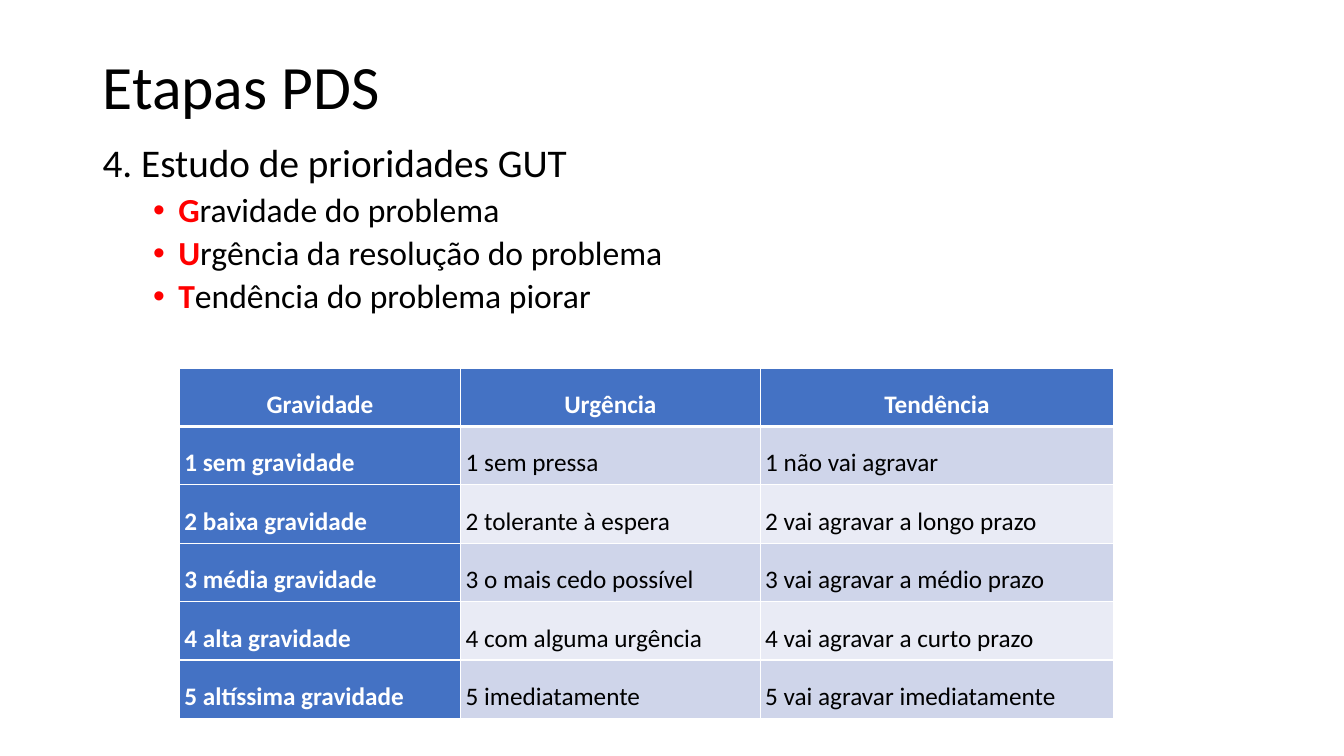
"""Builds the slide on the GUT priority study."""
from lxml import etree
from pptx import Presentation
from pptx import util as u
from pptx.dml.color import RGBColor
from pptx.enum import text
from pptx.oxml import ns

SLIDE_WIDTH, SLIDE_HEIGHT = u.Inches(13.33), u.Inches(7.5)
FONT = "Calibri"
BLACK = RGBColor(0x00, 0x00, 0x00)
WHITE = RGBColor(0xFF, 0xFF, 0xFF)
RED = RGBColor(0xFF, 0x00, 0x00)
BLUE = RGBColor(0x44, 0x72, 0xC4)
BANDS = (RGBColor(0xCF, 0xD5, 0xEA), RGBColor(0xE9, 0xEB, 0xF5))

CRITERIA = ("Gravidade do problema",
            "Urgência da resolução do problema",
            "Tendência do problema piorar")
SCALE = (
    ("Gravidade", "Urgência", "Tendência"),
    ("1 sem gravidade", "1 sem pressa", "1 não vai agravar"),
    ("2 baixa gravidade", "2 tolerante à espera", "2 vai agravar a longo prazo"),
    ("3 média gravidade", "3 o mais cedo possível", "3 vai agravar a médio prazo"),
    ("4 alta gravidade", "4 com alguma urgência", "4 vai agravar a curto prazo"),
    ("5 altíssima gravidade", "5 imediatamente", "5 vai agravar imediatamente"),
)
SCALE_WIDTHS = (20.93, 22.28, 26.33)
SCALE_ROW = 7.73


def across(percent):
    """Return a share of the slide width, in percent."""
    return u.Emu(round(SLIDE_WIDTH * percent / 100))


def down(percent):
    """Return a share of the slide height, in percent."""
    return u.Emu(round(SLIDE_HEIGHT * percent / 100))


def style(run, size, color, bold=False):
    """Format one run of text."""
    run.font.name = FONT
    run.font.size = u.Pt(size)
    run.font.color.rgb = color
    run.font.bold = bold


def add_title(slide, wording):
    """Fill and place the title placeholder."""
    title = slide.shapes.title
    title.left, title.top = across(6.9), down(5.33)
    title.width, title.height = across(86.25), down(13.07)
    frame = title.text_frame
    frame.text = wording
    frame.vertical_anchor = text.MSO_ANCHOR.MIDDLE
    heading = frame.paragraphs[0]
    heading.alignment = text.PP_ALIGN.LEFT
    heading.line_spacing = 0.9
    style(heading.runs[0], 44, BLACK)


def add_bullet(paragraph):
    """Give a paragraph a hanging bullet that takes the text colour."""
    properties = paragraph._p.get_or_add_pPr()
    properties.set("marL", str(u.Inches(0.75)))
    properties.set("indent", str(-u.Inches(0.25)))
    font = etree.SubElement(properties, ns.qn("a:buFont"))
    font.set("typeface", "Arial")
    bullet = etree.SubElement(properties, ns.qn("a:buChar"))
    bullet.set("char", "•")


def add_study(slide, step, criteria):
    """Add the step and its criteria, each with a red initial."""
    study = slide.shapes.add_textbox(across(6.9), down(18.4), across(49.05), down(71.73))
    frame = study.text_frame
    frame.word_wrap = True
    frame.text = step
    heading = frame.paragraphs[0]
    heading.line_spacing = 0.9
    heading.space_before = u.Pt(10)
    style(heading.runs[0], 28, BLACK)
    for criterion in criteria:
        item = frame.add_paragraph()
        item.level = 1
        item.line_spacing = 0.9
        item.space_before = u.Pt(5)
        add_bullet(item)
        for part, color, bold in ((criterion[0], RED, True), (criterion[1:], BLACK, False)):
            run = item.add_run()
            run.text = part
            style(run, 24, color, bold)


def add_borders(cell, top, bottom):
    """Draw white borders round a cell, 1 point at the sides."""
    properties = cell._tc.get_or_add_tcPr()
    for side, points in (("L", 1), ("R", 1), ("T", top), ("B", bottom)):
        line = etree.SubElement(properties, ns.qn(f"a:ln{side}"))
        line.set("w", str(u.Pt(points)))
        fill = etree.SubElement(line, ns.qn("a:solidFill"))
        etree.SubElement(fill, ns.qn("a:srgbClr")).set("val", str(WHITE))


def fill_cell(cell, wording, row, column):
    """Write and format one cell by its place in the scale."""
    heading = row == 0 or column == 0
    add_borders(cell, top=3 if row == 1 else 1, bottom=3 if row == 0 else 1)
    cell.fill.solid()
    cell.fill.fore_color.rgb = BLUE if heading else BANDS[(row - 1) % 2]
    cell.margin_left = cell.margin_right = u.Inches(0.05)
    cell.margin_top = cell.margin_bottom = 0
    cell.vertical_anchor = text.MSO_ANCHOR.MIDDLE
    cell.text = wording
    entry = cell.text_frame.paragraphs[0]
    entry.alignment = text.PP_ALIGN.CENTER if row == 0 else text.PP_ALIGN.LEFT
    entry.line_spacing = 1.5
    style(entry.runs[0], 18, WHITE if heading else BLACK, heading)


def add_scale(slide, rows, widths):
    """Add the table of scores for the three criteria."""
    scale = slide.shapes.add_table(
        len(rows), len(widths), across(13.35), down(48.67),
        across(sum(widths)), down(SCALE_ROW * len(rows))).table
    scale.first_col = True
    for column, width in zip(scale.columns, widths):
        column.width = across(width)
    for row, entries in enumerate(rows):
        scale.rows[row].height = down(SCALE_ROW)
        for column, wording in enumerate(entries):
            fill_cell(scale.cell(row, column), wording, row, column)


def main():
    """Build the slide and save it."""
    deck = Presentation()
    deck.slide_width, deck.slide_height = SLIDE_WIDTH, SLIDE_HEIGHT
    slide = deck.slides.add_slide(deck.slide_layouts.get_by_name("Title Only"))
    add_title(slide, "Etapas PDS")
    add_study(slide, "4. Estudo de prioridades GUT", CRITERIA)
    add_scale(slide, SCALE, SCALE_WIDTHS)
    deck.save("out.pptx")


main()
